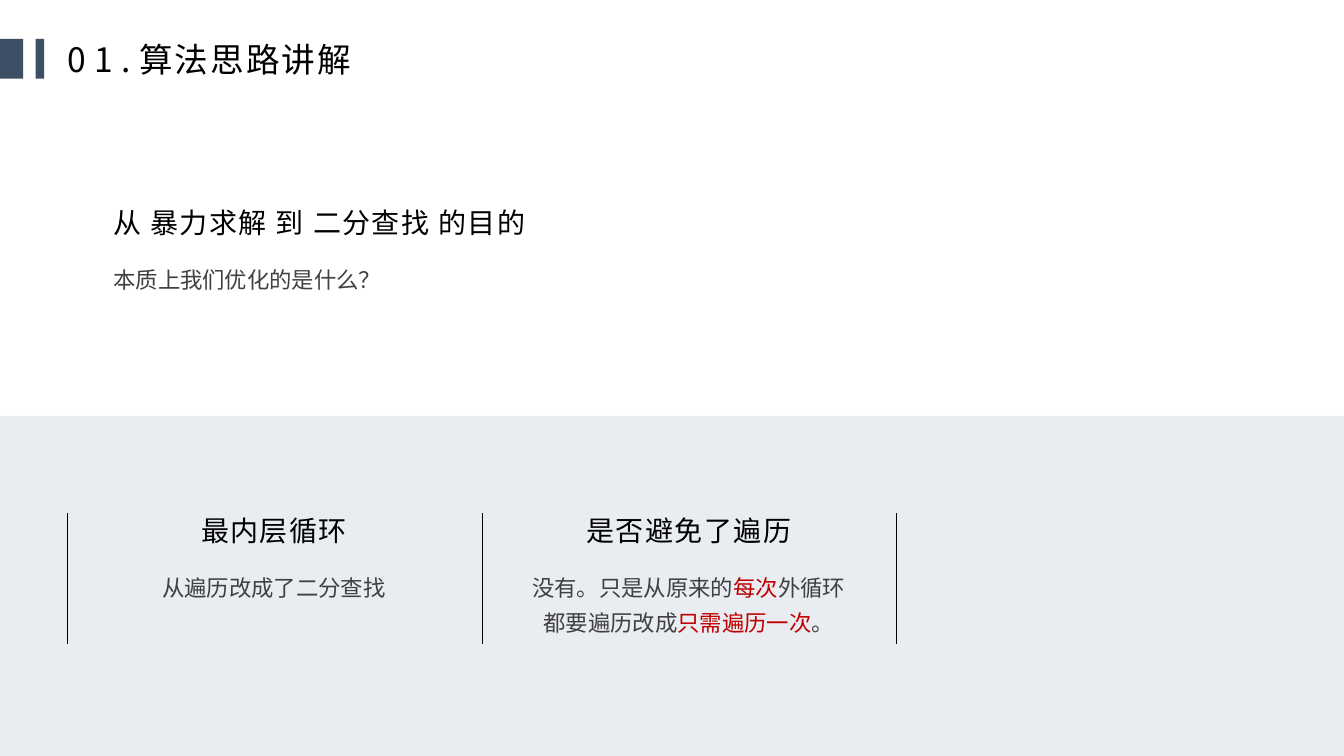
from lxml import etree
from pptx import Presentation
from pptx import util as u
from pptx.dml.color import RGBColor
from pptx.enum import shapes, text
from pptx.oxml import ns

PX = 9525  # EMU per px, 1280 x 720 px slide
WIDTH, HEIGHT = 1280, 720
FONT = "Noto Sans CJK SC"
NAVY, MIST = "3D4F65", "D4DBE5"
BLACK, GREY, RED = "000000", "404040", "C00000"
LEFT, CENTER = text.PP_ALIGN.LEFT, text.PP_ALIGN.CENTER


def px(*lengths):
    return [u.Emu(length * PX) for length in lengths]


def color(code):
    return RGBColor.from_string(code)


def add_block(slide, box, fill, alpha=None):
    block = slide.shapes.add_shape(shapes.MSO_SHAPE.RECTANGLE, *px(*box))
    block.shadow.inherit = False
    block.fill.solid()
    block.fill.fore_color.rgb = color(fill)
    block.line.fill.background()
    if alpha is not None:
        tint = block.fill._xPr.find(".//" + ns.qn("a:srgbClr"))
        etree.SubElement(tint, ns.qn("a:alpha"), val=str(alpha * 1000))


def write(holder, runs, size, align=LEFT, line_spacing=1.0,
          anchor=text.MSO_ANCHOR.TOP):
    """Fill a text holder with runs of (words, colour, letter spacing in points)."""
    frame = holder.text_frame
    frame_format = dict(margin_left=0, margin_right=0, margin_top=0, margin_bottom=0,
                        word_wrap=True, auto_size=text.MSO_AUTO_SIZE.NONE,
                        vertical_anchor=anchor)
    for name, value in frame_format.items():
        setattr(frame, name, value)
    paragraph = frame.paragraphs[0]
    paragraph.alignment = align
    paragraph.line_spacing = line_spacing
    for words, ink, spacing in runs:
        run = paragraph.add_run()
        run.text = words
        for name, value in dict(size=u.Pt(size), name=FONT, bold=False).items():
            setattr(run.font, name, value)
        run.font.color.rgb = color(ink)
        properties = run._r.get_or_add_rPr()
        properties.set("spc", str(int(spacing * 100)))
        etree.SubElement(properties, ns.qn("a:ea"), typeface=FONT)


def add_divider(slide, x, top, height):
    divider = slide.shapes.add_connector(
        shapes.MSO_CONNECTOR.STRAIGHT, *px(x, top + height, x, top))
    divider.line.color.rgb = color(BLACK)
    divider.line.width = u.Pt(0.5)
    etree.SubElement(divider._element.spPr, ns.qn("a:effectLst"))


def add_header(slide, left, top, width, height):
    # Two bars at the slide edge, then the title
    for bar_left, bar_width in ((0, 22), (34, 8)):
        add_block(slide, (left + bar_left, top + 13, bar_width, 38), NAVY)
    title = slide.shapes.title
    places = px(left + 64, top, width - 64, height)
    for name, value in zip(("left", "top", "width", "height"), places):
        setattr(title, name, value)
    write(title, [("01.", BLACK, 6), ("算法思路讲解", BLACK, 1.5)], 24,
          anchor=text.MSO_ANCHOR.MIDDLE)


def add_passage(slide, left, top, width, heading, body, align=LEFT):
    # Heading with its explanation below
    heading_box = slide.shapes.add_textbox(*px(left, top, width, 33))
    write(heading_box, [(heading, BLACK, 1)], 20, align)
    body_box = slide.shapes.add_textbox(*px(left, top + 50, width, 113))
    write(body_box, [(words, ink, 0) for words, ink in body], 16, align, 1.3)


def add_answers(slide, left, top, width, height, answers):
    # Shaded band with one column per answer, divided by thin lines
    add_block(slide, (left, top, width, height), MIST, alpha=50)
    first, pitch, inset, row = left + 64, 395, 44, top + 93
    for i, (heading, body) in enumerate(answers):
        add_passage(slide, first + i * pitch + inset, row, 306, heading, body, CENTER)
    for i in range(len(answers) + 1):
        add_divider(slide, first + i * pitch, row, 124)


def main():
    deck = Presentation()
    deck.slide_width, deck.slide_height = px(WIDTH, HEIGHT)
    slide = deck.slides.add_slide(deck.slide_layouts.get_by_name("Title Only"))
    add_header(slide, 0, 24, 513, 64)
    add_passage(slide, 108, 196, 818, "从 暴力求解 到 二分查找 的目的",
                [("本质上我们优化的是什么？", GREY)])
    add_answers(slide, 0, 396, WIDTH, HEIGHT - 396, [
        ("最内层循环", [("从遍历改成了二分查找", GREY)]),
        ("是否避免了遍历", [("没有。只是从原来的", GREY), ("每次", RED),
                     ("外循环都要遍历改成", GREY), ("只需遍历一次", RED),
                     ("。", GREY)]),
    ])
    deck.save("out.pptx")


if __name__ == "__main__":
    main()
